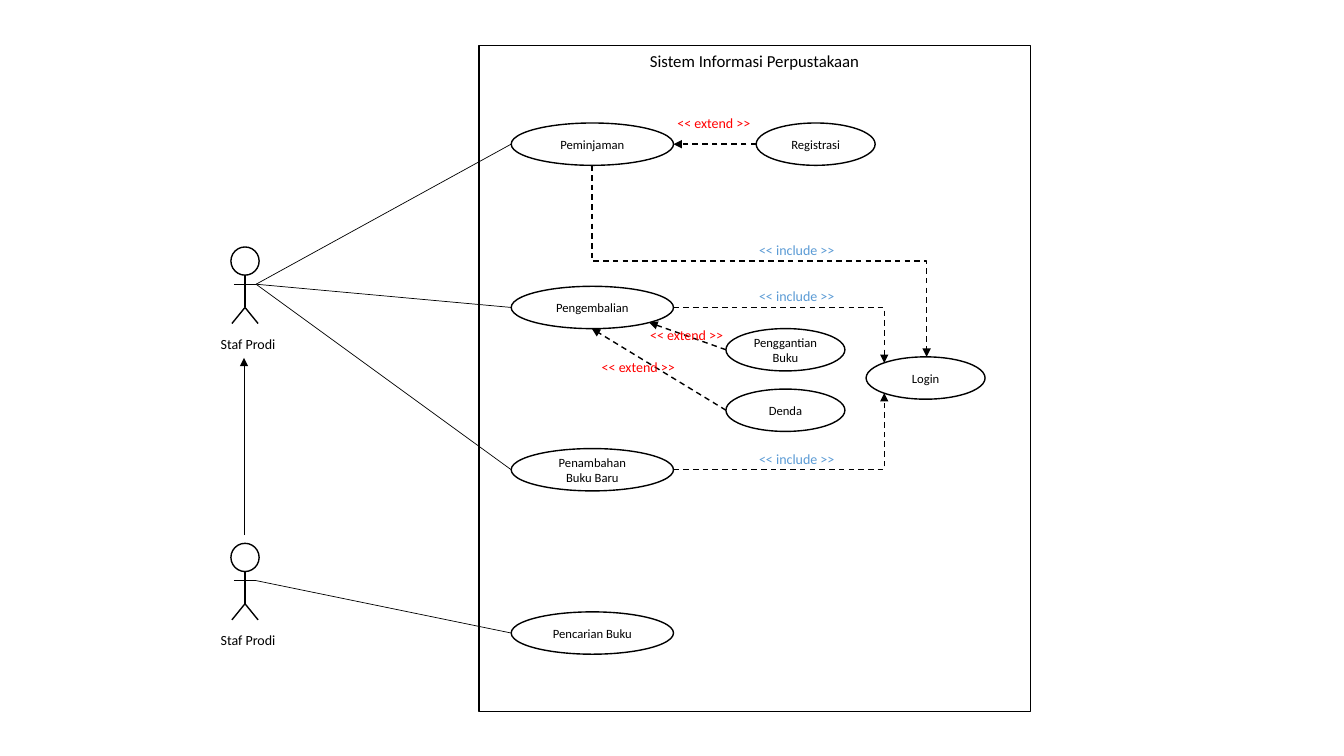
from lxml.etree import SubElement
from pptx import Presentation
from pptx.dml.color import RGBColor
from pptx.enum.dml import MSO_LINE
from pptx.enum.shapes import MSO_CONNECTOR, MSO_SHAPE
from pptx.enum.text import MSO_ANCHOR, MSO_AUTO_SIZE, PP_ALIGN
from pptx.oxml.ns import qn
from pptx.util import Inches, Pt

BLACK, WHITE, RED, BLUE = "000000", "FFFFFF", "FF0000", "5B9BD5"


def color(value):
    return RGBColor.from_string(value)


def write(shape, text, size=10, ink=BLACK, align=PP_ALIGN.LEFT, anchor=MSO_ANCHOR.TOP, wrap=True):
    frame = shape.text_frame
    frame.word_wrap = wrap
    frame.vertical_anchor = anchor
    paragraph = frame.paragraphs[0]
    paragraph.alignment = align
    run = paragraph.add_run()
    run.text = text
    run.font.name = "Calibri"
    run.font.size = Pt(size)
    run.font.color.rgb = color(ink)


class UseCaseDiagram:
    def __init__(self, slide):
        self.slide = slide
        self.ink = BLACK
        self.line_width = 1
        self.oval_height = 0.42

    def outline(self, kind, left, top, width, height, fill=WHITE, shapes=None):
        shapes = shapes or self.slide.shapes
        shape = shapes.add_shape(kind, Inches(left), Inches(top), Inches(width), Inches(height))
        shape.shadow.inherit = False
        if fill:
            shape.fill.solid()
            shape.fill.fore_color.rgb = color(fill)
        else:
            shape.fill.background()
        shape.line.color.rgb = color(self.ink)
        shape.line.width = Pt(self.line_width)
        return shape

    def system(self, text, left, top, width, height):
        shape = self.outline(MSO_SHAPE.RECTANGLE, left, top, width, height)
        write(shape, text, size=12, align=PP_ALIGN.CENTER)

    def use_case(self, text, left, top, width):
        shape = self.outline(MSO_SHAPE.OVAL, left, top, width, self.oval_height)
        write(shape, text, size=9, align=PP_ALIGN.CENTER, anchor=MSO_ANCHOR.MIDDLE)

    def label(self, text, left, top, width, ink=BLACK, shapes=None):
        shapes = shapes or self.slide.shapes
        box = shapes.add_textbox(Inches(left), Inches(top), Inches(width), Inches(0.27))
        write(box, text, ink=ink, wrap=False)
        box.text_frame.auto_size = MSO_AUTO_SIZE.SHAPE_TO_FIT_TEXT

    def line(self, start, end, width=None, dashed=False, arrow=False,
             kind=MSO_CONNECTOR.STRAIGHT, shapes=None):
        shapes = shapes or self.slide.shapes
        points = [Inches(value) for value in (*start, *end)]
        connector = shapes.add_connector(kind, *points)
        connector.line.color.rgb = color(self.ink)
        connector.line.width = Pt(width or self.line_width)
        if dashed:
            connector.line.dash_style = MSO_LINE.DASH
        if arrow:
            SubElement(connector.line._get_or_add_ln(), qn("a:tailEnd"), type="triangle")
        SubElement(connector._element.spPr, qn("a:effectLst"))
        return connector

    def dependency(self, start, end):
        return self.line(start, end, dashed=True, arrow=True)

    def corner(self, start, end):
        connector = self.dependency(start, end)
        connector._element.spPr.find(qn("a:prstGeom")).set("prst", "bentConnector2")

    def step_down(self, start, end):
        connector = self.line(start, end, dashed=True, arrow=True, kind=MSO_CONNECTOR.ELBOW)
        across, down = connector.width, connector.height
        connector.left += (across - down) // 2
        connector.top += (down - across) // 2
        connector.width, connector.height = down, across
        transform = connector._element.spPr.find(qn("a:xfrm"))
        transform.set("rot", "16200000")
        transform.set("flipH", "1")

    def actor(self, text, center, top):
        shapes = self.slide.shapes.add_group_shape().shapes
        self.outline(MSO_SHAPE.OVAL, center - 0.14, top, 0.28, 0.28, fill=None, shapes=shapes)
        hip = (center, top + 0.6)
        self.line((center, top + 0.28), hip, shapes=shapes)
        for side in (0.13, -0.13):
            self.line(hip, (center + side, top + 0.76), shapes=shapes)
        arm = top + 0.37
        self.line((center - 0.11, arm), (center + 0.11, arm), width=0.5, shapes=shapes)
        self.label(text, center - 0.34, top + 0.83, 0.75, shapes=shapes)
        return center + 0.11, arm


presentation = Presentation()
presentation.slide_width = Inches(13.33)
presentation.slide_height = Inches(7.5)
diagram = UseCaseDiagram(presentation.slides.add_slide(presentation.slide_layouts[6]))

diagram.system("Sistem Informasi Perpustakaan", 4.75, 0.45, 5.47, 6.61)

main_left, main_width, small_width = 5.07, 1.61, 1.18
main_right, main_center = main_left + main_width, 5.87
main_cases = {"Peminjaman": 1.22, "Pengembalian": 2.84,
              "Penambahan Buku Baru": 4.45, "Pencarian Buku": 6.07}
for name, top in main_cases.items():
    diagram.use_case(name, main_left, top, main_width)
borrow, give_back, add_book, search = [top + 0.21 for top in main_cases.values()]

for name, left, top in [("Login", 8.59, 3.54), ("Registrasi", 7.5, 1.22),
                        ("Penggantian Buku", 7.2, 3.26), ("Denda", 7.2, 3.86)]:
    diagram.use_case(name, left, top, small_width)

diagram.step_down((main_center, borrow + 0.21), (9.19, 3.54))
diagram.corner((main_right, add_book), (8.77, 3.9))
diagram.corner((main_right, give_back), (8.77, 3.6))
for start, end in [((7.2, 3.47), (6.44, 3.2)), ((7.2, 4.07), (main_center, 3.26)),
                   ((7.5, borrow), (main_right, borrow))]:
    diagram.dependency(start, end)

upper_hand, lower_hand = [diagram.actor("Staf Prodi", 2.43, top) for top in (2.45, 5.39)]
diagram.line((2.42, 5.31), (2.42, 3.55), width=0.5, arrow=True)
for hand, row in [(upper_hand, give_back), (upper_hand, add_book),
                  (upper_hand, borrow), (lower_hand, search)]:
    diagram.line((main_left, row), hand, width=0.5)

for left, top in [(5.87, 3.51), (6.35, 3.19), (6.62, 1.09)]:
    diagram.label("<< extend >>", left, top, 0.93, ink=RED)
for top in (2.35, 4.42, 2.8):
    diagram.label("<< include >>", 7.43, top, 0.95, ink=BLUE)

presentation.save("out.pptx")
